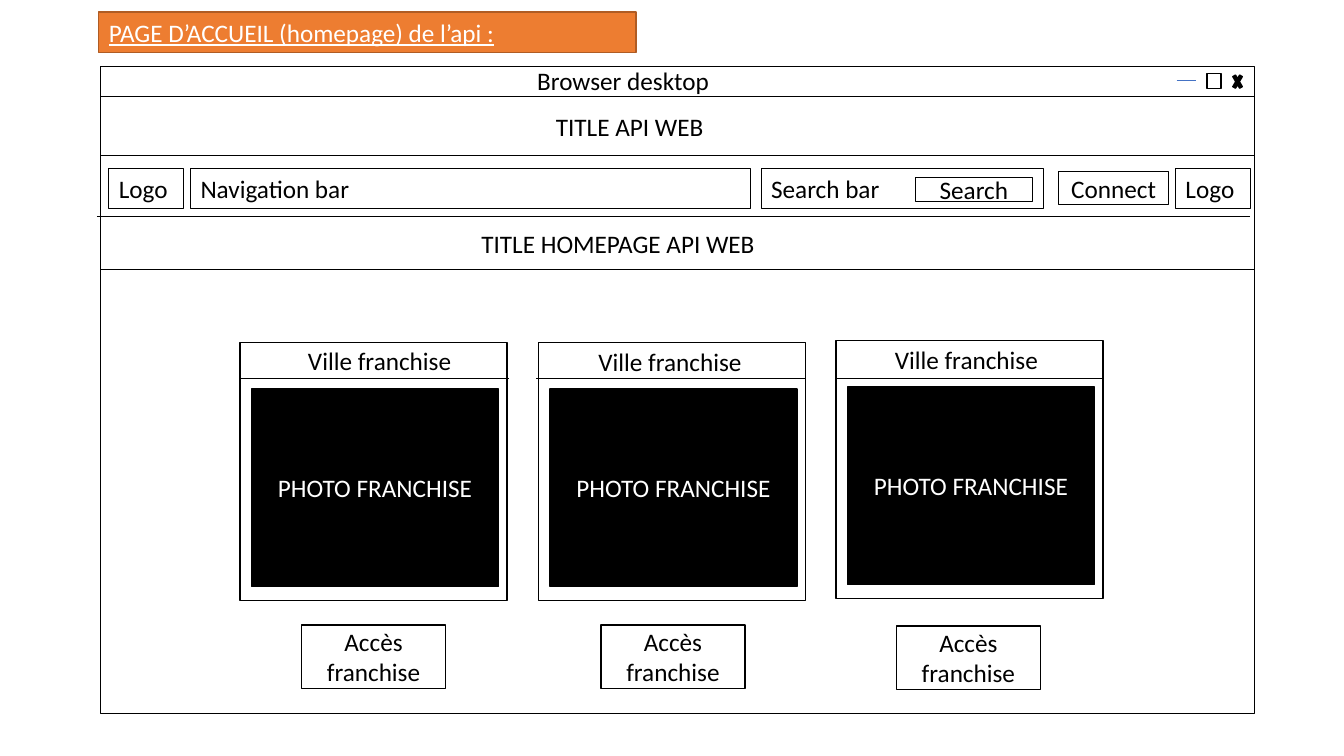
import pptx
import pptx.dml.color
import pptx.enum.shapes
import pptx.enum.text
import pptx.oxml.ns
import pptx.util
from lxml import etree

SHAPE = pptx.enum.shapes.MSO_SHAPE
ALIGN = pptx.enum.text.PP_ALIGN
ANCHOR = pptx.enum.text.MSO_ANCHOR
COLORS = {"ink": "000000", "paper": "FFFFFF", "banner": "ED7D31",
          "banner_edge": "AF5C24", "minimize": "4472C4"}

# The slide is a grid of 133.3 columns by 75 rows.
CELL = pptx.util.Inches(0.1)
WINDOW_LEFT, WINDOW_WIDTH = 10, 114.4
BAR_TOP, BAR_HEIGHT = 16.7, 4
CARD_WIDTH, CARD_HEIGHT = 26.5, 25.6


def grid(*cells):
    return [round(cell * CELL) for cell in cells]


def rgb(name):
    return pptx.dml.color.RGBColor.from_string(COLORS[name])


def paint(shape, fill, edge, weight):
    """Fill and outline a shape; fill None leaves it transparent."""
    if fill:
        shape.fill.solid()
        shape.fill.fore_color.rgb = rgb(fill)
    else:
        shape.fill.background()
    shape.line.color.rgb = rgb(edge)
    shape.line.width = pptx.util.Pt(weight)


def write(shape, text, color="ink", align=ALIGN.CENTER, anchor=ANCHOR.MIDDLE,
          underline=None):
    frame = shape.text_frame
    frame.word_wrap = True
    frame.auto_size = pptx.enum.text.MSO_AUTO_SIZE.NONE
    frame.vertical_anchor = anchor
    paragraph = frame.paragraphs[0]
    paragraph.alignment = align
    run = paragraph.add_run()
    run.text = text
    run.font.name = "Calibri"
    run.font.size = pptx.util.Pt(18)
    run.font.underline = underline
    run.font.color.rgb = rgb(color)


def add_box(slide, at, text=None, fill="paper", weight=1, kind=SHAPE.RECTANGLE,
            **text_format):
    box = slide.shapes.add_shape(kind, *grid(*at))
    box.shadow.inherit = False
    paint(box, fill, "ink", weight)
    if text:
        write(box, text, **text_format)


def add_label(slide, at, text, **text_format):
    label = slide.shapes.add_textbox(*grid(*at))
    write(label, text, anchor=ANCHOR.TOP, **text_format)


def add_rule(slide, left, top, width, color="ink"):
    rule = slide.shapes.add_connector(
        pptx.enum.shapes.MSO_CONNECTOR.STRAIGHT,
        *grid(left, top, left + width, top))
    rule.line.color.rgb = rgb(color)
    rule.line.width = pptx.util.Pt(0.5)
    etree.SubElement(rule.element.spPr, pptx.oxml.ns.qn("a:effectLst"))


def add_heading(slide, text):
    heading = slide.shapes.title
    heading.left, heading.top, heading.width, heading.height = grid(9.8, 1.2, 53.3, 4)
    paint(heading, "banner", "banner_edge", 1)
    write(heading, text, color="paper", align=ALIGN.LEFT, anchor=ANCHOR.TOP,
          underline=True)


def add_window(slide):
    add_box(slide, (WINDOW_LEFT, 6.6, WINDOW_WIDTH, 64.2))
    for left, top in ((WINDOW_LEFT, 9.6), (WINDOW_LEFT, 15.4),
                      (WINDOW_LEFT - 0.4, 21.5), (WINDOW_LEFT, 26.7)):
        add_rule(slide, left, top, WINDOW_WIDTH)
    add_rule(slide, 116.7, 8, 1.9, color="minimize")
    add_box(slide, (119.7, 7.3, 1.4, 1.5))
    add_box(slide, (122.1, 7, 1.3, 2.2), fill="ink", kind=SHAPE.MATH_MULTIPLY)
    add_label(slide, (52.3, 6, 22.1, 4), "Browser desktop", align=ALIGN.LEFT)
    add_label(slide, (49.4, 10.6, 26.1, 4), "TITLE API WEB")
    add_label(slide, (41.1, 22.2, 40.4, 4), "TITLE HOMEPAGE API WEB")


def add_toolbar(slide):
    for text, left, width in (("Logo", 10.8, 7.4), ("Navigation bar", 18.9, 55.5),
                              ("Search bar", 75.5, 28), ("Logo", 116.6, 7.4)):
        add_box(slide, (left, BAR_TOP, width, BAR_HEIGHT), text, fill=None,
                weight=0.75, align=ALIGN.LEFT, anchor=ANCHOR.TOP)
    add_box(slide, (90.8, 17.6, 11.6, 2.4), "Search")
    add_box(slide, (105, 17, 10.9, 3.3), "Connect")


def add_franchise(slide, left, top, name_left, name_top, rule_left, access_left,
                  access_top):
    add_box(slide, (left, top, CARD_WIDTH, CARD_HEIGHT))
    add_rule(slide, rule_left, 37.5, 26.6)
    add_label(slide, (name_left, name_top, CARD_WIDTH, 4), "Ville franchise")
    add_box(slide, (left + 1.15, top + 4.6, 24.5, 19.6), "PHOTO FRANCHISE",
            fill="ink", color="paper")
    add_box(slide, (access_left, access_top, 14.3, 6.3), "Accès franchise")


def main():
    deck = pptx.Presentation()
    deck.slide_width, deck.slide_height = grid(133.3, 75)
    slide = deck.slides.add_slide(deck.slide_layouts.get_by_name("Title Only"))
    add_heading(slide, "PAGE D’ACCUEIL (homepage) de l’api :")
    add_window(slide)
    add_toolbar(slide)
    for placement in ((23.8, 34, 24.4, 33.8, 23.9, 29.9, 62),
                      (53.4, 34, 53.2, 33.9, 53.2, 59.6, 62),
                      (82.9, 33.8, 82.6, 33.7, 82.9, 88.9, 62.1)):
        add_franchise(slide, *placement)
    deck.save("out.pptx")


if __name__ == "__main__":
    main()
